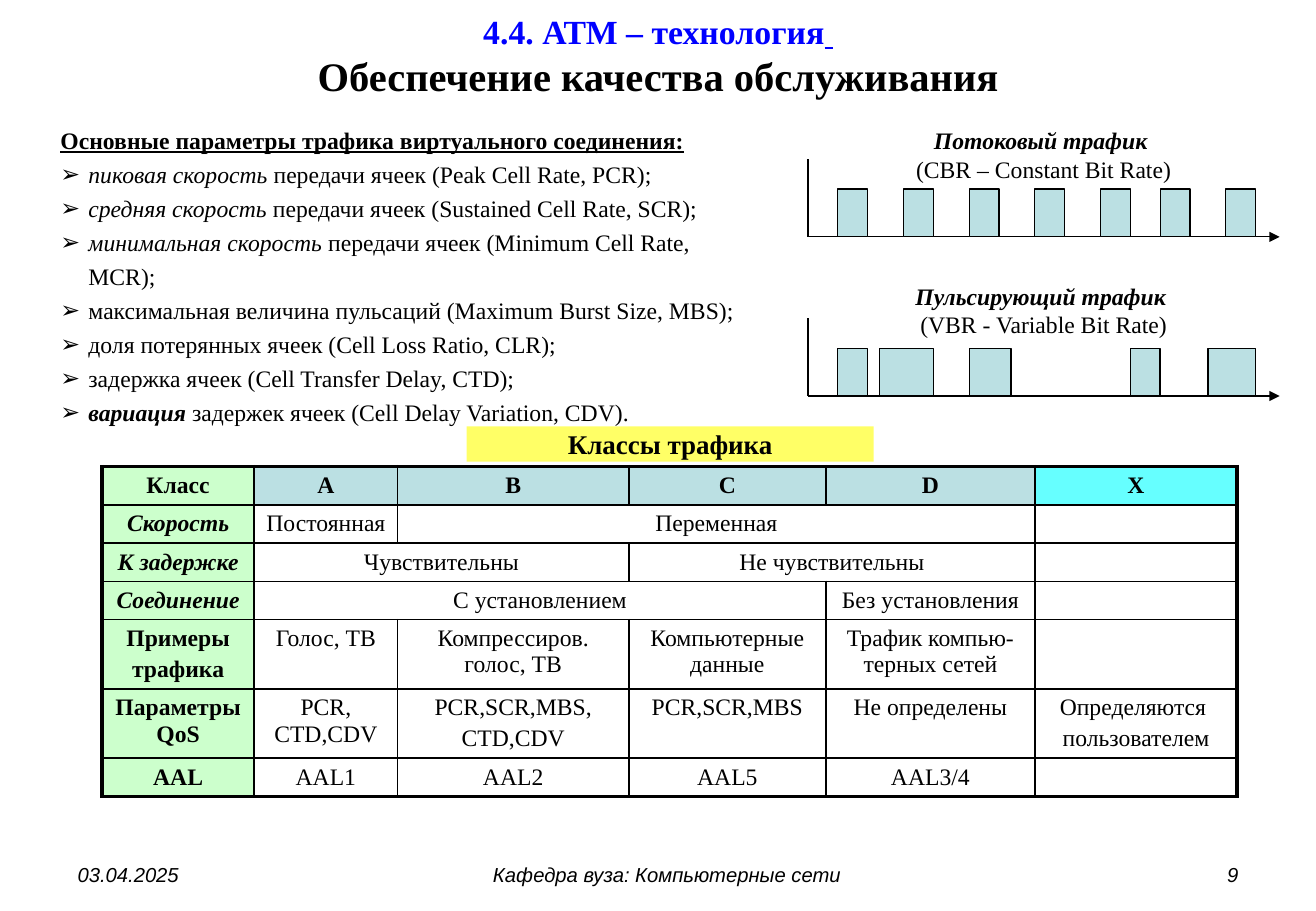
from dataclasses import dataclass

from lxml.etree import SubElement
from pptx import Presentation
from pptx.dml.color import RGBColor
from pptx.enum.shapes import MSO_CONNECTOR, MSO_SHAPE
from pptx.enum.text import MSO_ANCHOR, PP_ALIGN
from pptx.oxml.ns import qn
from pptx.util import Inches, Pt


@dataclass(frozen=True)
class Theme:
    black: str = "000000"
    blue: str = "0000FF"
    teal: str = "BBE0E3"
    green: str = "CCFFCC"
    cyan: str = "66FFFF"
    yellow: str = "FFFF66"
    serif: str = "Times New Roman"
    sans: str = "Arial"
    footer: int = 12
    body: int = 14
    heading: int = 16
    section: int = 20
    title: int = 24
    thin: float = 0.75
    inner: float = 1
    header: float = 1.5
    outer: float = 2.25


@dataclass(frozen=True)
class Box:
    left: int
    top: int
    width: int
    height: int


THEME = Theme()
SLIDE_WIDTH, SLIDE_HEIGHT = Inches(10.83), Inches(7.5)

# Each parameter: emphasised start, remaining text, bold start
PARAMETERS = [
    ("пиковая скорость ", "передачи ячеек (Peak Cell Rate, PCR);", False),
    ("средняя скорость ", "передачи ячеек (Sustained Cell Rate, SCR);", False),
    ("минимальная скорость ", "передачи ячеек (Minimum Cell Rate, MCR);", False),
    ("", "максимальная величина пульсаций (Maximum Burst Size, MBS);", False),
    ("", "доля потерянных ячеек (Cell Loss Ratio, CLR);", False),
    ("", "задержка ячеек (Cell Transfer Delay, CTD);", False),
    ("вариация ", "задержек ячеек (Cell Delay Variation, CDV).", True),
]

# Bars as (start column, columns wide) on the chart grid
CHART_COLUMNS, AXIS_ROWS, BAR_ROWS = 79, 13, 8
CBR_BARS = [(start, 5) for start in (5, 16, 27, 38, 49, 59, 70)]
VBR_BARS = [(5, 5), (12, 9), (27, 7), (54, 5), (67, 8)]

# None continues the cell to its left
CLASSES = [
    ["Класс", "A", "B", "C", "D", "X"],
    ["Скорость", "Постоянная", "Переменная", None, None, ""],
    ["К задержке", "Чувствительны", None, "Не чувствительны", None, ""],
    ["Соединение", "С установлением", None, None, "Без установления", ""],
    ["Примеры\nтрафика", "Голос, ТВ", "Компрессиров. голос, ТВ",
     "Компьютерные данные", "Трафик компью-терных сетей", ""],
    ["Параметры QoS", "PCR, CTD,CDV", "PCR,SCR,MBS,\nCTD,CDV", "PCR,SCR,MBS",
     "Не определены", "Определяются \nпользователем"],
    ["AAL", "AAL1", "AAL2", "AAL5", "AAL3/4", ""],
]
COLUMN_SHARES = (1.25, 1.18, 1.9, 1.62, 1.72, 1.66)
ROW_SHARES = (5, 5, 5, 5, 9, 9, 5)
ITALIC_ROWS = (1, 2, 3)


def place(left, top, width, height):
    """Box from percentages of the slide's size."""
    return Box(int(SLIDE_WIDTH * left / 100), int(SLIDE_HEIGHT * top / 100),
               int(SLIDE_WIDTH * width / 100), int(SLIDE_HEIGHT * height / 100))


def add_run(paragraph, text, size=THEME.body, color=THEME.black, font=THEME.serif,
            bold=False, italic=False, underline=False):
    run = paragraph.add_run()
    run.text = text
    run.font.name, run.font.size = font, Pt(size)
    run.font.bold, run.font.italic, run.font.underline = bold, italic, underline
    run.font.color.rgb = RGBColor.from_string(color)


def add_text_frame(slide, box):
    shape = slide.shapes.add_textbox(box.left, box.top, box.width, box.height)
    shape.text_frame.word_wrap = True
    return shape.text_frame


def add_rectangle(slide, box, fill, outlined=True):
    shape = slide.shapes.add_shape(MSO_SHAPE.RECTANGLE, box.left, box.top,
                                   box.width, box.height)
    shape.shadow.inherit = False
    shape.fill.solid()
    shape.fill.fore_color.rgb = RGBColor.from_string(fill)
    if outlined:
        shape.line.color.rgb = RGBColor.from_string(THEME.black)
        shape.line.width = Pt(THEME.thin)
    else:
        shape.line.fill.background()
    return shape


def add_axis(slide, start, end, arrow=False):
    axis = slide.shapes.add_connector(MSO_CONNECTOR.STRAIGHT, *start, *end)
    axis.line.color.rgb = RGBColor.from_string(THEME.black)
    axis.line.width = Pt(THEME.thin)
    if arrow:
        SubElement(axis.line._get_or_add_ln(), qn("a:tailEnd"), type="triangle")
    SubElement(axis._element.spPr, qn("a:effectLst"))


def fill_title(slide, box):
    title = slide.shapes.title
    title.left, title.top, title.width, title.height = box.left, box.top, box.width, box.height
    title.text_frame.vertical_anchor = MSO_ANCHOR.MIDDLE
    paragraph = title.text_frame.paragraphs[0]
    paragraph.alignment = PP_ALIGN.CENTER
    add_run(paragraph, "4.4. АТМ – технология", THEME.section, THEME.blue, bold=True)
    add_run(paragraph, " ", THEME.section, THEME.blue, bold=True, underline=True)
    paragraph.add_line_break()
    add_run(paragraph, "Обеспечение качества обслуживания", THEME.title, bold=True)


def add_parameters(slide, box):
    frame = add_text_frame(slide, box)
    heading = frame.paragraphs[0]
    heading.line_spacing = 1.2
    add_run(heading, "Основные параметры трафика виртуального соединения:",
            bold=True, underline=True)
    for emphasis, rest, bold in PARAMETERS:
        paragraph = frame.add_paragraph()
        paragraph.line_spacing = 1.2
        properties = paragraph._p.get_or_add_pPr()
        indent = Inches(0.23)
        properties.set("marL", str(indent))
        properties.set("indent", str(-indent))
        SubElement(properties, qn("a:buFont"), typeface=THEME.sans)
        SubElement(properties, qn("a:buChar"), char="➢")
        if emphasis:
            add_run(paragraph, emphasis, bold=bold, italic=True)
        add_run(paragraph, rest)


def add_traffic_chart(slide, box, name, detail, bars):
    unit = box.width / CHART_COLUMNS
    bottom = box.top + box.height
    # Axes
    origin = (box.left, bottom)
    add_axis(slide, (box.left, int(bottom - AXIS_ROWS * unit)), origin)
    add_axis(slide, origin, (box.left + box.width, bottom), arrow=True)
    # Bars stand on the time axis
    height = int(BAR_ROWS * unit)
    for start, columns in bars:
        bar = Box(int(box.left + start * unit), bottom - height, int(columns * unit), height)
        add_rectangle(slide, bar, THEME.teal)
    # Caption
    caption = Box(int(box.left + 9 * unit), box.top, int(61 * unit), int(11.4 * unit))
    frame = add_text_frame(slide, caption)
    for paragraph, text, strong in ((frame.paragraphs[0], name, True),
                                    (frame.add_paragraph(), detail, False)):
        paragraph.alignment = PP_ALIGN.CENTER
        paragraph.line_spacing = Pt(16.8)
        add_run(paragraph, text, bold=strong, italic=strong)


def add_table_heading(slide, box):
    frame = add_rectangle(slide, box, THEME.yellow, outlined=False).text_frame
    frame.word_wrap = True
    frame.margin_top = frame.margin_bottom = Inches(0.01)
    frame.paragraphs[0].alignment = PP_ALIGN.CENTER
    add_run(frame.paragraphs[0], "Классы трафика", THEME.heading, bold=True)


def set_borders(cell, row, column):
    def width(index, count):
        return {0: THEME.outer, 1: THEME.header, count: THEME.outer}.get(index, THEME.inner)

    rows, columns = len(ROW_SHARES), len(COLUMN_SHARES)
    sides = {"L": width(column, columns), "R": width(column + 1, columns),
             "T": width(row, rows), "B": width(row + 1, rows)}
    properties = cell._tc.get_or_add_tcPr()
    for position, (side, points) in enumerate(sides.items()):
        line = SubElement(properties, qn(f"a:ln{side}"), w=str(Pt(points)))
        SubElement(SubElement(line, qn("a:solidFill")), qn("a:srgbClr"), val=THEME.black)
        properties.insert(position, line)


def fill_cell(cell, text, row, column):
    # Fill by header position
    if column == 0 or row == 0:
        color = {0: THEME.green, 5: THEME.cyan}.get(column, THEME.teal)
        cell.fill.solid()
        cell.fill.fore_color.rgb = RGBColor.from_string(color)
    else:
        cell.fill.background()
    set_borders(cell, row, column)
    # Text
    frame = cell.text_frame
    for index, line in enumerate((text or "").split("\n")):
        paragraph = frame.add_paragraph() if index else frame.paragraphs[0]
        paragraph.alignment = PP_ALIGN.CENTER
        paragraph.space_before = Pt(2.8 if index else 0)
        if line:
            add_run(paragraph, line, bold=column == 0 or row == 0,
                    italic=column == 0 and row in ITALIC_ROWS)
        else:
            ending = SubElement(paragraph._p, qn("a:endParaRPr"), sz=str(THEME.body * 100))
            SubElement(ending, qn("a:latin"), typeface=THEME.serif)


def add_class_table(slide, box):
    table = slide.shapes.add_table(len(CLASSES), len(CLASSES[0]), box.left, box.top,
                                   box.width, box.height).table
    table.first_row = table.horz_banding = False
    for column, share in zip(table.columns, COLUMN_SHARES):
        column.width = int(box.width * share / sum(COLUMN_SHARES))
    for row, share in zip(table.rows, ROW_SHARES):
        row.height = int(box.height * share / sum(ROW_SHARES))
    for row, texts in enumerate(CLASSES):
        for column, text in enumerate(texts):
            fill_cell(table.cell(row, column), text, row, column)
        # Merge each cell with its continuations
        starts = [column for column, text in enumerate(texts) if text is not None]
        for start, following in zip(starts, starts[1:] + [len(texts)]):
            if following - start > 1:
                table.cell(row, start).merge(table.cell(row, following - 1))


def add_footer(slide, box, text, alignment):
    paragraph = add_text_frame(slide, box).paragraphs[0]
    paragraph.alignment = alignment
    add_run(paragraph, text, THEME.footer, font=THEME.sans, italic=True)


def main():
    presentation = Presentation()
    presentation.slide_width, presentation.slide_height = SLIDE_WIDTH, SLIDE_HEIGHT
    slide = presentation.slides.add_slide(presentation.slide_layouts[5])
    fill_title(slide, place(4.99, 0, 90.03, 12.13))
    add_class_table(slide, place(7.76, 51.2, 86.24, 36.2))
    add_table_heading(slide, place(35.46, 46.8, 30.93, 3.87))
    add_parameters(slide, place(3.69, 12.53, 55.03, 31.2))
    add_traffic_chart(slide, place(61.4, 13.2, 35.83, 12.8),
                      "Потоковый трафик ", "(CBR – Constant Bit Rate)", CBR_BARS)
    add_traffic_chart(slide, place(61.4, 30.27, 35.83, 13.2),
                      "Пульсирующий трафик ", "(VBR - Variable Bit Rate)", VBR_BARS)
    add_footer(slide, place(4.99, 94, 23.36, 4), "03.04.2025", PP_ALIGN.LEFT)
    add_footer(slide, place(30.93, 94, 39.52, 4), "Кафедра вуза: Компьютерные сети",
               PP_ALIGN.CENTER)
    add_footer(slide, place(71.65, 94, 23.36, 4), "9", PP_ALIGN.RIGHT)
    presentation.save("out.pptx")


if __name__ == "__main__":
    main()
